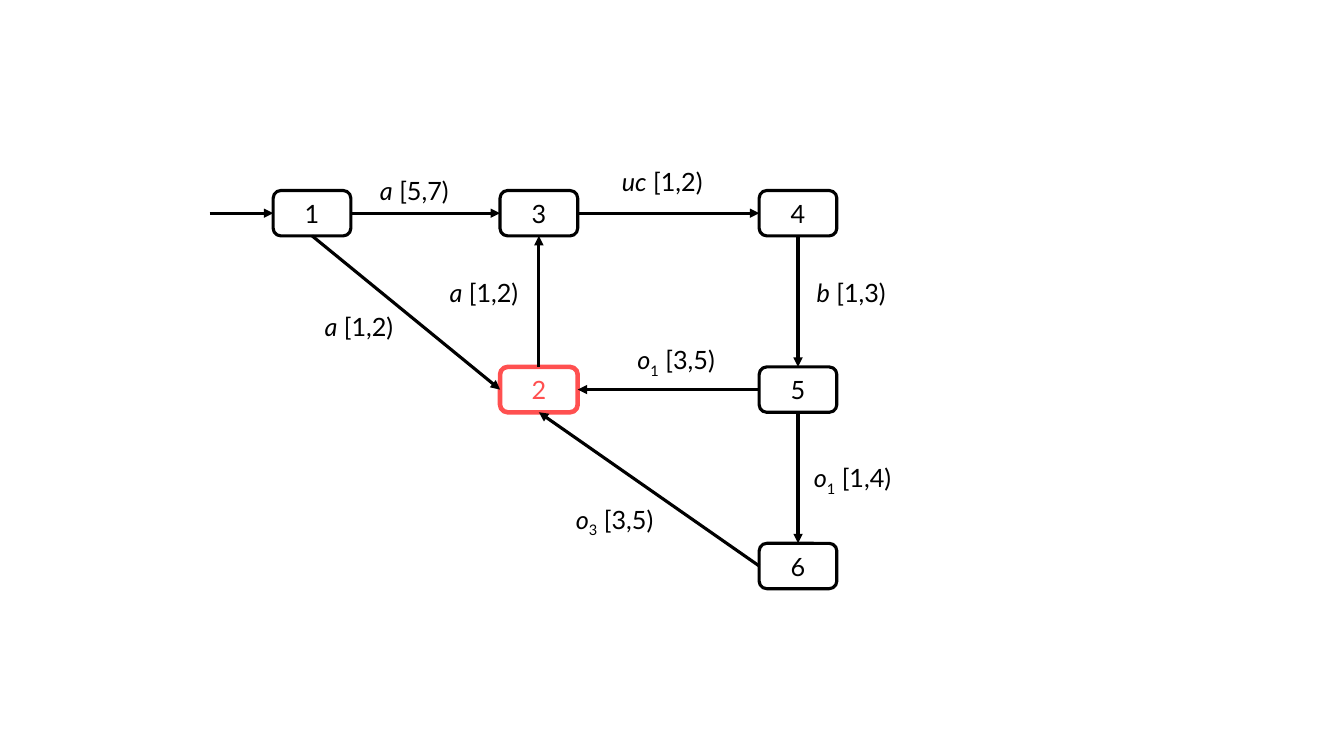
from lxml import etree
from pptx import Presentation
from pptx import util as u
from pptx.dml.color import RGBColor
from pptx.enum import shapes, text
from pptx.oxml import ns

BLACK = RGBColor(0, 0, 0)
WHITE = RGBColor(0xFF, 0xFF, 0xFF)
RED = RGBColor(0xFF, 0x50, 0x50)

FONT = {"name": "Lato", "size": u.Pt(18)}
NODE_WIDTH, NODE_HEIGHT = 0.77, 0.45
COLUMNS = (2.71, 4.96, 7.53)
ROWS = [1.89 + 1.75 * row for row in range(3)]
START_LEFT = 2.08
TOP, LEFT, BOTTOM, RIGHT = range(4)  # connection sites of a rounded rectangle

# State: (column, row)
STATES = {"1": (0, 0), "2": (1, 1), "3": (1, 0),
          "4": (2, 0), "5": (2, 1), "6": (2, 2)}
MARKED_STATE = "2"

# Source, its site, target, its site
TRANSITIONS = [
    ("1", RIGHT, "3", LEFT), ("1", BOTTOM, "2", LEFT),
    ("2", TOP, "3", BOTTOM), ("3", RIGHT, "4", LEFT),
    ("4", BOTTOM, "5", TOP), ("5", LEFT, "2", RIGHT),
    ("6", LEFT, "2", BOTTOM), ("5", BOTTOM, "6", TOP),
]

# Event, subscript, time interval, left, top, width
LABELS = [
    ("a", "", "[5,7)", 3.67, 1.69, 0.91),
    ("a", "", "[1,2)", 3.12, 3.04, 0.91),
    ("a", "", "[1,2)", 4.36, 2.7, 0.91),
    ("uc", "", "[1,2)", 6.07, 1.6, 1.03),
    ("b", "", "[1,3)", 8, 2.7, 0.91),
    ("o", "1", "[3,5)", 6.21, 3.37, 0.99),
    ("o", "1", "[1,4)", 7.96, 4.54, 0.99),
    ("o", "3", "[3,5)", 5.6, 4.95, 0.99),
]


def add_span(para, words, color=BLACK, **extra):
    span = para.add_run()
    span.text = words
    for name, value in {**FONT, **extra}.items():
        setattr(span.font, name, value)
    span.font.color.rgb = color
    return span


def add_state(slide, name, column, row):
    marked = name == MARKED_STATE
    color = RED if marked else BLACK
    box = slide.shapes.add_shape(
        shapes.MSO_SHAPE.ROUNDED_RECTANGLE,
        u.Inches(COLUMNS[column]), u.Inches(ROWS[row]),
        u.Inches(NODE_WIDTH), u.Inches(NODE_HEIGHT))
    box.shadow.inherit = False
    box.fill.solid()
    box.fill.fore_color.rgb = WHITE
    box.line.color.rgb = color
    box.line.width = u.Pt(3.25 if marked else 2.25)
    box.text_frame.vertical_anchor = text.MSO_ANCHOR.MIDDLE
    para = box.text_frame.paragraphs[0]
    para.alignment = text.PP_ALIGN.CENTER
    add_span(para, name, color)
    return box


def add_arrow(slide, start=(0, 0), end=(0, 0)):
    points = [u.Inches(value) for value in (*start, *end)]
    arrow = slide.shapes.add_connector(shapes.MSO_CONNECTOR.STRAIGHT, *points)
    arrow.line.color.rgb = BLACK
    arrow.line.width = u.Pt(2.25)
    head = etree.SubElement(arrow.line._get_or_add_ln(), ns.qn("a:tailEnd"))
    head.set("type", "triangle")
    etree.SubElement(arrow._element.spPr, ns.qn("a:effectLst"))
    return arrow


def add_label(slide, event, subscript, interval, left, top, width):
    box = slide.shapes.add_textbox(
        u.Inches(left), u.Inches(top), u.Inches(width), u.Inches(0.4))
    frame = box.text_frame
    frame.word_wrap = False
    frame.auto_size = text.MSO_AUTO_SIZE.SHAPE_TO_FIT_TEXT
    para = frame.paragraphs[0]
    add_span(para, event, italic=True)
    if subscript:
        para.alignment = text.PP_ALIGN.CENTER
        span = add_span(para, subscript)
        span.font._element.set("baseline", "-25000")
    add_span(para, f" {interval}")


def main():
    deck = Presentation()
    deck.slide_width, deck.slide_height = u.Inches(13.33), u.Inches(7.5)
    slide = deck.slides.add_slide(deck.slide_layouts[6])

    # States
    boxes = {name: add_state(slide, name, *place)
             for name, place in STATES.items()}

    # Initial arrow and transitions
    middle = ROWS[0] + NODE_HEIGHT / 2
    add_arrow(slide, (START_LEFT, middle), (COLUMNS[0], middle))
    for source, source_site, target, target_site in TRANSITIONS:
        arrow = add_arrow(slide)
        arrow.begin_connect(boxes[source], source_site)
        arrow.end_connect(boxes[target], target_site)

    # Transition labels
    for label in LABELS:
        add_label(slide, *label)

    deck.save("out.pptx")


main()
